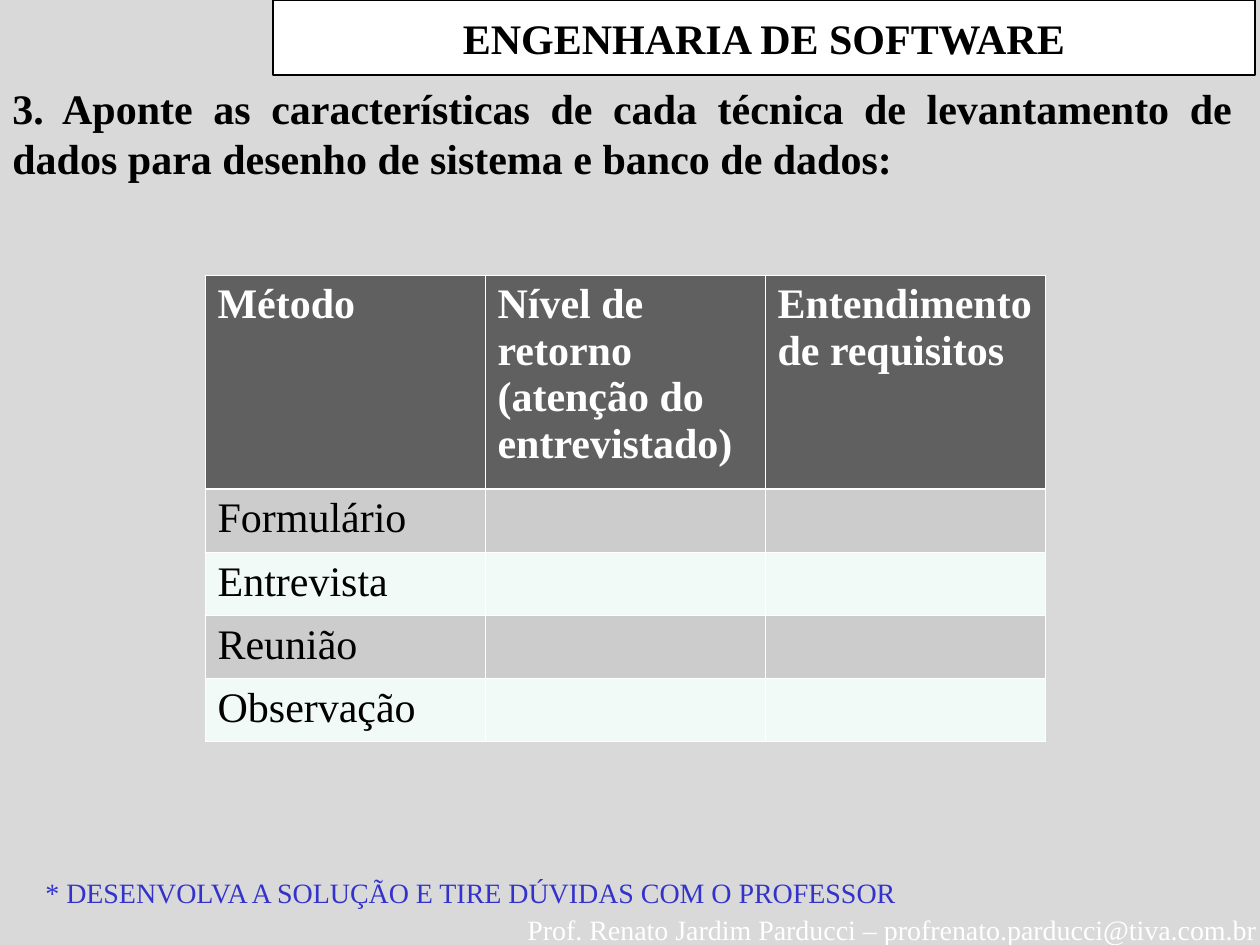
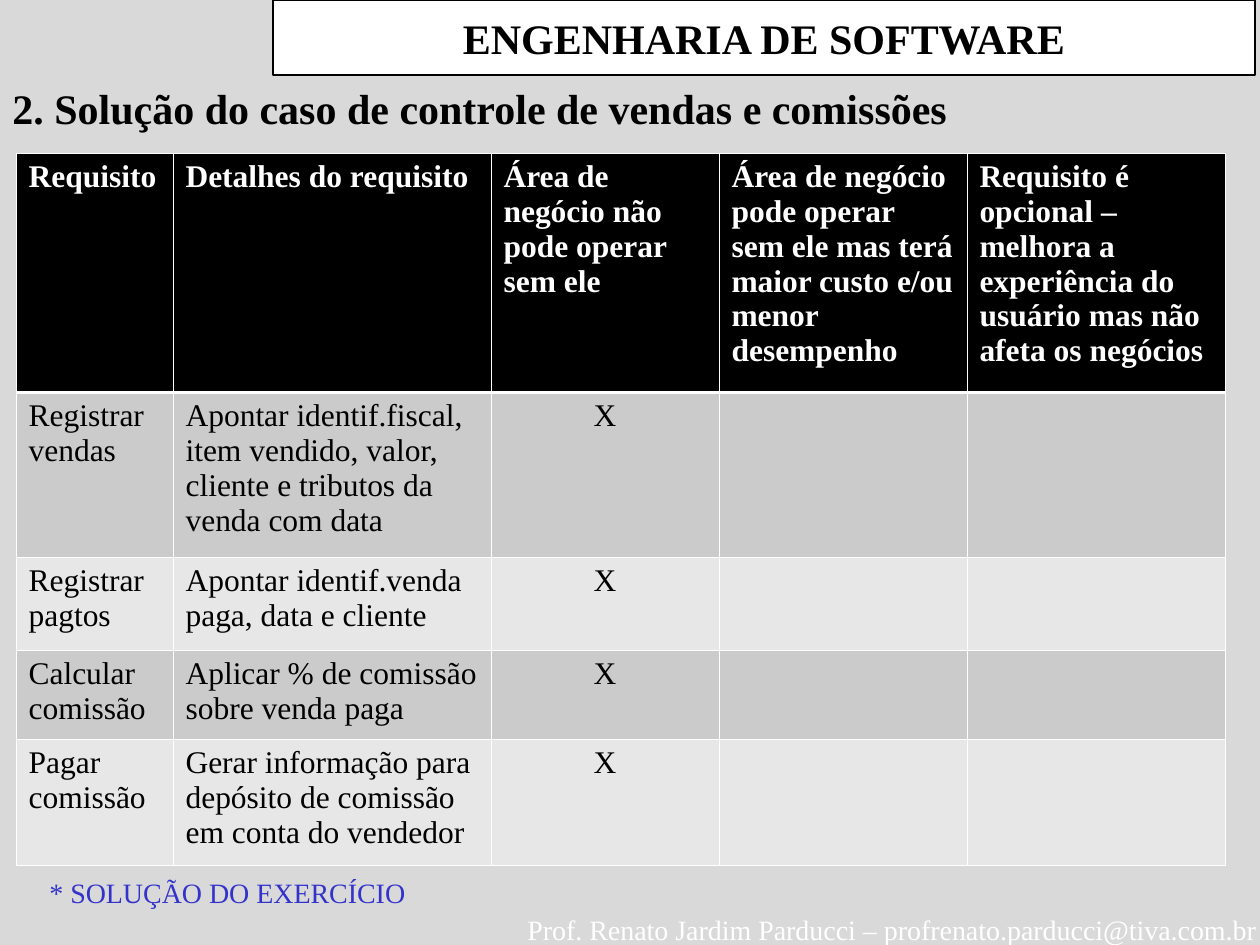
import pptx
import pptx.util
import pptx.dml.color
import pptx.enum.shapes
import pptx.enum.text
import pptx.oxml.ns
import lxml.etree

BAND = "ENGENHARIA DE SOFTWARE"
FOOTER = "Prof. Renato Jardim Parducci – profrenato.parducci@tiva.com.br"

SLIDES = [
    {
        "heading": "3. Aponte as características de cada técnica de levantamento "
                   "de dados para desenho de sistema e banco de dados:",
        "heading_height": 164,
        "note": "* DESENVOLVA A SOLUÇÃO E TIRE DÚVIDAS COM O PROFESSOR",
        "note_box": (33, 869, 887, 47),
        "origin": (205, 275),
        "columns": [280] * 3,
        "rows": [214] + [63] * 4,
        "size": "large",
        "fills": ("grey_head", "grey_row", "mint_row"),
        "cells": [
            ["Método", "Nível de retorno (atenção do entrevistado)",
             "Entendimento de requisitos"],
            ["Formulário", "", ""],
            ["Entrevista", "", ""],
            ["Reunião", "", ""],
            ["Observação", "", ""],
        ],
    },
    {
        "heading": "2. Solução do caso de controle de vendas e comissões",
        "heading_height": 63,
        "note": "* SOLUÇÃO DO EXERCÍCIO",
        "note_box": (37, 869, 381, 47),
        "origin": (16, 153),
        "columns": [157, 318, 228, 248, 258],
        "rows": [239, 165, 93, 89, 126],
        "size": "medium",
        "fills": ("black", "dark_row", "light_row"),
        "cells": [
            ["Requisito", "Detalhes do requisito",
             "Área de negócio não pode operar sem ele",
             "Área de negócio pode operar sem ele mas terá maior custo e/ou "
             "menor desempenho",
             "Requisito é opcional – melhora a experiência do usuário mas não "
             "afeta os negócios"],
            ["Registrar vendas",
             "Apontar identif.fiscal, item vendido, valor, cliente e tributos "
             "da venda com data", "X", "", ""],
            ["Registrar pagtos", "Apontar identif.venda paga, data e cliente",
             "X", "", ""],
            ["Calcular comissão", "Aplicar % de comissão sobre venda paga",
             "X", "", ""],
            ["Pagar comissão",
             "Gerar informação para depósito de comissão em conta do vendedor",
             "X", "", ""],
        ],
    },
]

THEME = {
    "font": "Times New Roman",
    "sizes": {"large": 24, "medium": 18, "small": 16},
    "colors": {
        "background": "D9D9D9", "white": "FFFFFF", "black": "000000",
        "note": "3333CC", "grey_head": "606060", "grey_row": "CCCCCC",
        "mint_row": "F1FAF6", "dark_row": "CBCBCB", "light_row": "E7E7E7",
    },
    "grid_line": 0.45,
    "head_line": 1.47,
}

PX = 914400 / 126
ALIGN = pptx.enum.text.PP_ALIGN


def px(n):
    return pptx.util.Emu(round(n * PX))


def box(*lengths):
    return [px(n) for n in lengths]


def color(name):
    return pptx.dml.color.RGBColor.from_string(THEME["colors"][name])


def paint(fill, name):
    fill.solid()
    fill.fore_color.rgb = color(name)


def write(tf, text, size, ink, bold=False, align=ALIGN.LEFT):
    p = tf.paragraphs[0]
    p.alignment = align
    r = p.add_run()
    r.text = text
    font = {"name": THEME["font"], "bold": bold,
            "size": pptx.util.Pt(THEME["sizes"][size])}
    for key, value in font.items():
        setattr(r.font, key, value)
    r.font.color.rgb = color(ink)


def add_text(slide, bounds, text, size, ink, wrap=False, **style):
    tf = slide.shapes.add_textbox(*box(*bounds)).text_frame
    tf.word_wrap = wrap
    tf.auto_size = pptx.enum.text.MSO_AUTO_SIZE.SHAPE_TO_FIT_TEXT
    write(tf, text, size, ink, **style)


def add_frame(slide):
    """Add the footer and title band that every slide carries."""
    add_text(slide, (515, 906, 756, 47), FOOTER, "small", "white")
    sp = slide.shapes.add_shape(pptx.enum.shapes.MSO_SHAPE.RECTANGLE,
                                *box(273, 0, 982, 75))
    sp.shadow.inherit = False
    paint(sp.fill, "white")
    sp.line.color.rgb = color("black")
    sp.line.width = pptx.util.Pt(1)
    sp.text_frame.vertical_anchor = pptx.enum.text.MSO_ANCHOR.MIDDLE
    write(sp.text_frame, BAND, "large", "black", bold=True, align=ALIGN.CENTER)


def add_borders(cell, widths):
    """Draw white cell edges; the lines must come before the fill in tcPr."""
    tc_pr = cell._tc.get_or_add_tcPr()
    qn = pptx.oxml.ns.qn
    for i, (edge, width) in enumerate(widths.items()):
        ln = lxml.etree.Element(qn(f"a:ln{edge}"), w=str(pptx.util.Pt(width)))
        fill = lxml.etree.SubElement(ln, qn("a:solidFill"))
        lxml.etree.SubElement(fill, qn("a:srgbClr"),
                              val=THEME["colors"]["white"])
        tc_pr.insert(i, ln)


def add_table(slide, data):
    widths, heights = data["columns"], data["rows"]
    table = slide.shapes.add_table(
        len(heights), len(widths),
        *box(*data["origin"], sum(widths), sum(heights))).table
    for column, width in zip(table.columns, widths):
        column.width = px(width)
    for row, height in zip(table.rows, heights):
        row.height = px(height)

    head, odd, even = data["fills"]
    for i, texts in enumerate(data["cells"]):
        is_head = i == 0
        edges = dict.fromkeys("LRTB", THEME["grid_line"])
        if i < 2:
            edges["B" if is_head else "T"] = THEME["head_line"]
        for j, text in enumerate(texts):
            cell = table.cell(i, j)
            paint(cell.fill, head if is_head else odd if i % 2 else even)
            add_borders(cell, edges)
            if text:
                write(cell.text_frame, text, data["size"],
                      "white" if is_head else "black", bold=is_head,
                      align=ALIGN.CENTER if text == "X" else ALIGN.LEFT)


def main():
    prs = pptx.Presentation()
    prs.slide_width, prs.slide_height = box(1260, 945)
    paint(prs.slide_master.background.fill, "background")
    for data in SLIDES:
        slide = prs.slides.add_slide(prs.slide_layouts[6])
        add_frame(slide)
        add_text(slide, (0, 76, 1245, data["heading_height"]), data["heading"],
                 "large", "black", wrap=True, bold=True, align=ALIGN.JUSTIFY)
        add_text(slide, data["note_box"], data["note"], "small", "note")
        add_table(slide, data)
    prs.save("out.pptx")


if __name__ == "__main__":
    main()
